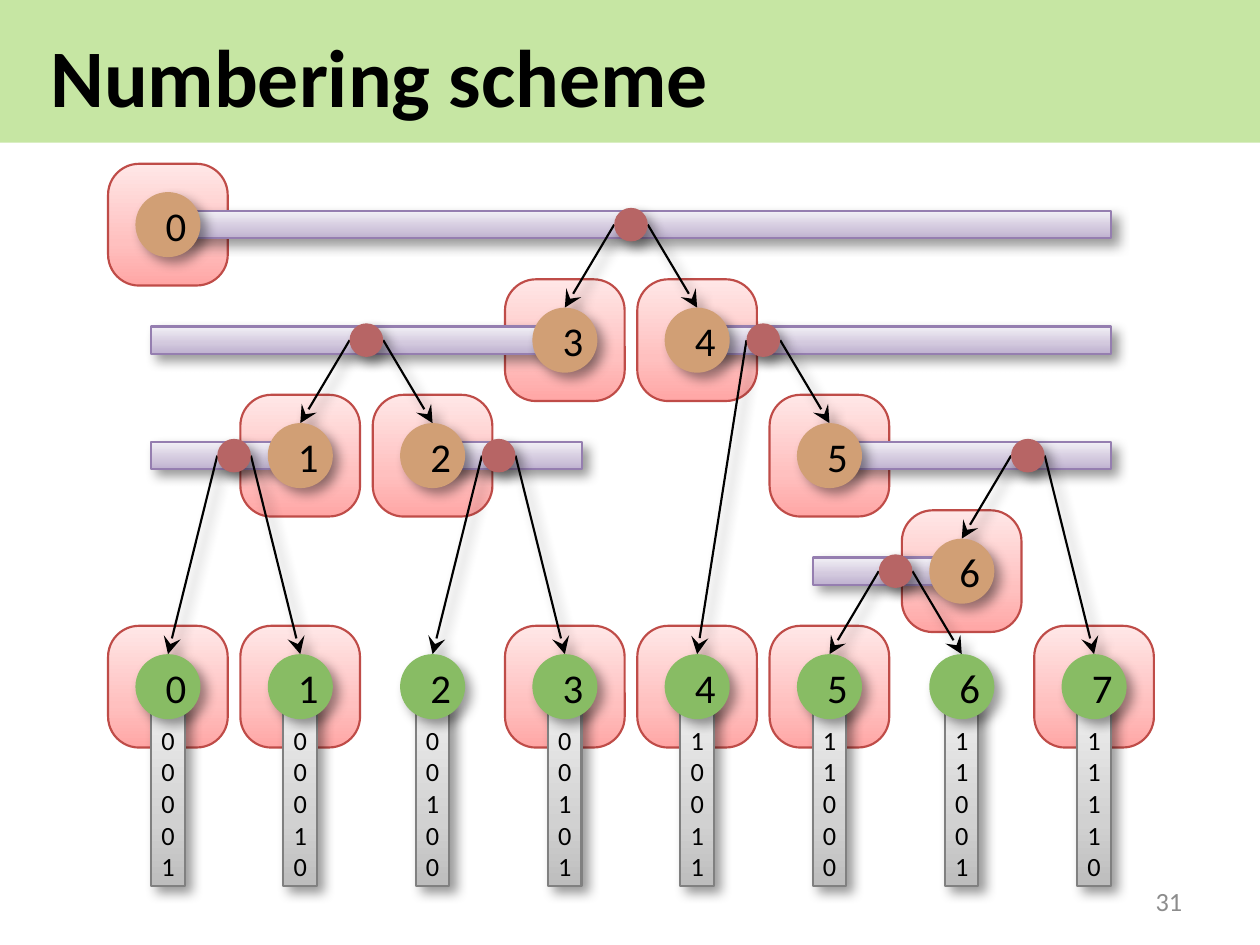
from dataclasses import dataclass

from pptx import Presentation
from pptx.dml.color import RGBColor
from pptx.enum.shapes import MSO_CONNECTOR, MSO_SHAPE
from pptx.enum.text import MSO_ANCHOR, MSO_AUTO_SIZE, PP_ALIGN
from pptx.oxml import parse_xml
from pptx.oxml.ns import nsdecls, qn
from pptx.util import Inches, Pt


@dataclass(frozen=True)
class Theme:
    font: str = "Calibri"
    text: str = "000000"
    number: str = "8C8C8C"
    banner: str = "92D050"
    banner_opacity: int = 52
    leaf: str = "88BC64"
    node: str = "D19F75"
    split: str = "B76565"
    card: tuple = ((0, "FFA6A5"), (35, "FFC0BF"), (100, "FFE7E7"))
    card_line: str = "BF4C48"
    bar: tuple = ((0, "BFB2D0"), (40, "D3C9DE"), (100, "F2F0F6"))
    bar_line: str = "957EB0"
    strip: tuple = ((0, "BDBDBD"), (35, "D1D1D1"), (100, "EEEEEE"))
    strip_line: str = "808080"
    title_size: int = 28
    label_size: int = 14
    small_size: int = 9
    line_width: float = 0.75


class TreeSlide:
    """Draws on a grid: one column per key, one row per tree level."""

    LEFT, TOP, COLUMN, ROW = 0.8, 1.07, 0.63, 0.55
    LEAF_ROW = 4
    CIRCLE, DOT, BAR = 0.31, 0.16, 0.13

    def __init__(self, presentation, theme):
        self.theme = theme
        self.slide = presentation.slides.add_slide(presentation.slide_layouts[5])

    def x(self, column):
        return self.LEFT + column * self.COLUMN

    def y(self, row):
        return self.TOP + row * self.ROW

    def shadow(self, shape):
        shape._element.spPr.append(parse_xml(
            f'<a:effectLst {nsdecls("a")}><a:outerShdw blurRad="50800" dist="38100" '
            'dir="2700000" algn="tl" rotWithShape="0"><a:srgbClr val="000000">'
            '<a:alpha val="40000"/></a:srgbClr></a:outerShdw></a:effectLst>'))

    def label(self, shape, text, size, color, insets, anchor, align, bold=False):
        frame = shape.text_frame
        horizontal, vertical = map(Inches, insets)
        values = {"margin_left": horizontal, "margin_right": horizontal,
                  "margin_top": vertical, "margin_bottom": vertical,
                  "vertical_anchor": anchor, "word_wrap": True,
                  "auto_size": MSO_AUTO_SIZE.NONE}
        for name, value in values.items():
            setattr(frame, name, value)
        paragraph = frame.paragraphs[0]
        paragraph.alignment = align
        run = paragraph.add_run()
        run.text = text
        for name, value in {"name": self.theme.font, "size": Pt(size), "bold": bold}.items():
            setattr(run.font, name, value)
        run.font.color.rgb = RGBColor.from_string(color)

    def shape(self, kind, left, top, width, height, fill, line=None, shadow=True):
        shape = self.slide.shapes.add_shape(kind, *map(Inches, (left, top, width, height)))
        if isinstance(fill, str):
            shape.fill.solid()
            shape.fill.fore_color.rgb = RGBColor.from_string(fill)
        else:
            shape.fill.gradient()
            shape.fill.gradient_angle = 90
            stops = shape._element.spPr.find(qn("a:gradFill")).find(qn("a:gsLst"))
            stops[:] = [parse_xml(f'<a:gs {nsdecls("a")} pos="{position * 1000}">'
                                  f'<a:srgbClr val="{color}"/></a:gs>')
                        for position, color in fill]
        if line:
            shape.line.color.rgb = RGBColor.from_string(line)
            shape.line.width = Pt(self.theme.line_width)
        else:
            shape.line.fill.background()
        if shadow:
            self.shadow(shape)
        else:
            shape.shadow.inherit = False
        return shape

    def banner(self):
        banner = self.shape(MSO_SHAPE.RECTANGLE, 0, 0, 6, 0.68, self.theme.banner, shadow=False)
        color = banner._element.spPr.find(qn("a:solidFill"))[0]
        color.append(parse_xml(f'<a:alpha {nsdecls("a")} '
                               f'val="{self.theme.banner_opacity * 1000}"/>'))
        self.slide.shapes._spTree.insert(2, banner._element)  # behind the title

    def title(self, text):
        title = self.slide.shapes.title
        for name, value in {"left": 0.17, "top": 0.08, "width": 5.64, "height": 0.55}.items():
            setattr(title, name, Inches(value))
        self.label(title, text, self.theme.title_size, self.theme.text, (0.07, 0.04),
                   MSO_ANCHOR.MIDDLE, PP_ALIGN.LEFT, bold=True)

    def slide_number(self, text):
        box = self.slide.shapes.add_textbox(*map(Inches, (4.3, 4.17, 1.4, 0.24)))
        self.label(box, text, self.theme.small_size, self.theme.number, (0.07, 0.04),
                   MSO_ANCHOR.MIDDLE, PP_ALIGN.RIGHT)

    def card(self, column, row):
        width, height = 0.57, 0.58
        card = self.shape(MSO_SHAPE.ROUNDED_RECTANGLE, self.x(column) - width / 2,
                          self.y(row) - height / 2, width, height,
                          self.theme.card, self.theme.card_line, shadow=False)
        card.adjustments[0] = 0.26

    def bar(self, first, last, row):
        self.shape(MSO_SHAPE.RECTANGLE, self.x(first) - self.DOT / 2,
                   self.y(row) - self.BAR / 2, (last - first) * self.COLUMN + self.DOT,
                   self.BAR, self.theme.bar, self.theme.bar_line)

    def circle(self, column, row, diameter, fill, number=None):
        circle = self.shape(MSO_SHAPE.OVAL, self.x(column) - diameter / 2,
                            self.y(row) - diameter / 2, diameter, diameter, fill)
        if number is not None:
            self.label(circle, str(number), self.theme.label_size, self.theme.text,
                       (0.1, 0.05), MSO_ANCHOR.MIDDLE, PP_ALIGN.CENTER)

    def arrow(self, split, row, child, child_row):
        side = self.DOT / 2 if child > split else -self.DOT / 2
        arrow = self.slide.shapes.add_connector(MSO_CONNECTOR.STRAIGHT, *map(Inches, (
            self.x(split) + side, self.y(row),
            self.x(child), self.y(child_row) - self.CIRCLE / 2)))
        arrow.line.color.rgb = RGBColor.from_string(self.theme.text)
        arrow.line.width = Pt(self.theme.line_width)
        arrow._element.spPr.find(qn("a:ln")).append(
            parse_xml(f'<a:tailEnd {nsdecls("a")} type="stealth"/>'))
        self.shadow(arrow)

    def strip(self, column, bits):
        strip = self.shape(MSO_SHAPE.RECTANGLE, self.x(column) - self.DOT / 2, 3.35,
                           self.DOT, 0.87, self.theme.strip, self.theme.strip_line)
        self.label(strip, bits, self.theme.small_size, self.theme.text, (0.02, 0.02),
                   MSO_ANCHOR.BOTTOM, PP_ALIGN.CENTER)


KEYS = ["00001", "00010", "00100", "00101", "10011", "11000", "11001", "11110"]
PLAIN_LEAVES = {2, 6}
# Internal nodes: number (also its column), level, first key, last key, last key left of split
NODES = [(0, 0, 0, 7, 3), (3, 1, 0, 3, 1), (4, 1, 4, 7, 4), (1, 2, 0, 1, 0),
         (2, 2, 2, 3, 2), (5, 2, 5, 7, 6), (6, 3, 5, 6, 5)]


def main():
    presentation = Presentation()
    presentation.slide_width, presentation.slide_height = Inches(6), Inches(4.5)
    theme = Theme()
    tree = TreeSlide(presentation, theme)
    tree.banner()
    tree.title("Numbering scheme")

    # Cards behind the numbered circles
    for column in range(len(KEYS)):
        if column not in PLAIN_LEAVES:
            tree.card(column, tree.LEAF_ROW)
    for number, row, *_ in NODES:
        tree.card(number, row)

    # Key ranges, then arrows to the children on either side of each split
    for _, row, first, last, _ in NODES:
        tree.bar(first, last, row)
    for _, row, first, last, split in NODES:
        for child, end in ((split, first), (split + 1, last)):
            child_row = tree.LEAF_ROW if child == end else row + 1
            tree.arrow(split + 0.5, row, child, child_row)

    # Leaves with their keys
    for column, bits in enumerate(KEYS):
        tree.strip(column, bits)
    for column in range(len(KEYS)):
        tree.circle(column, tree.LEAF_ROW, tree.CIRCLE, theme.leaf, column)

    # Split points and internal nodes
    for number, row, _, _, split in NODES:
        tree.circle(split + 0.5, row, tree.DOT, theme.split)
        tree.circle(number, row, tree.CIRCLE, theme.node, number)

    tree.slide_number("31")
    presentation.save("out.pptx")


if __name__ == "__main__":
    main()
